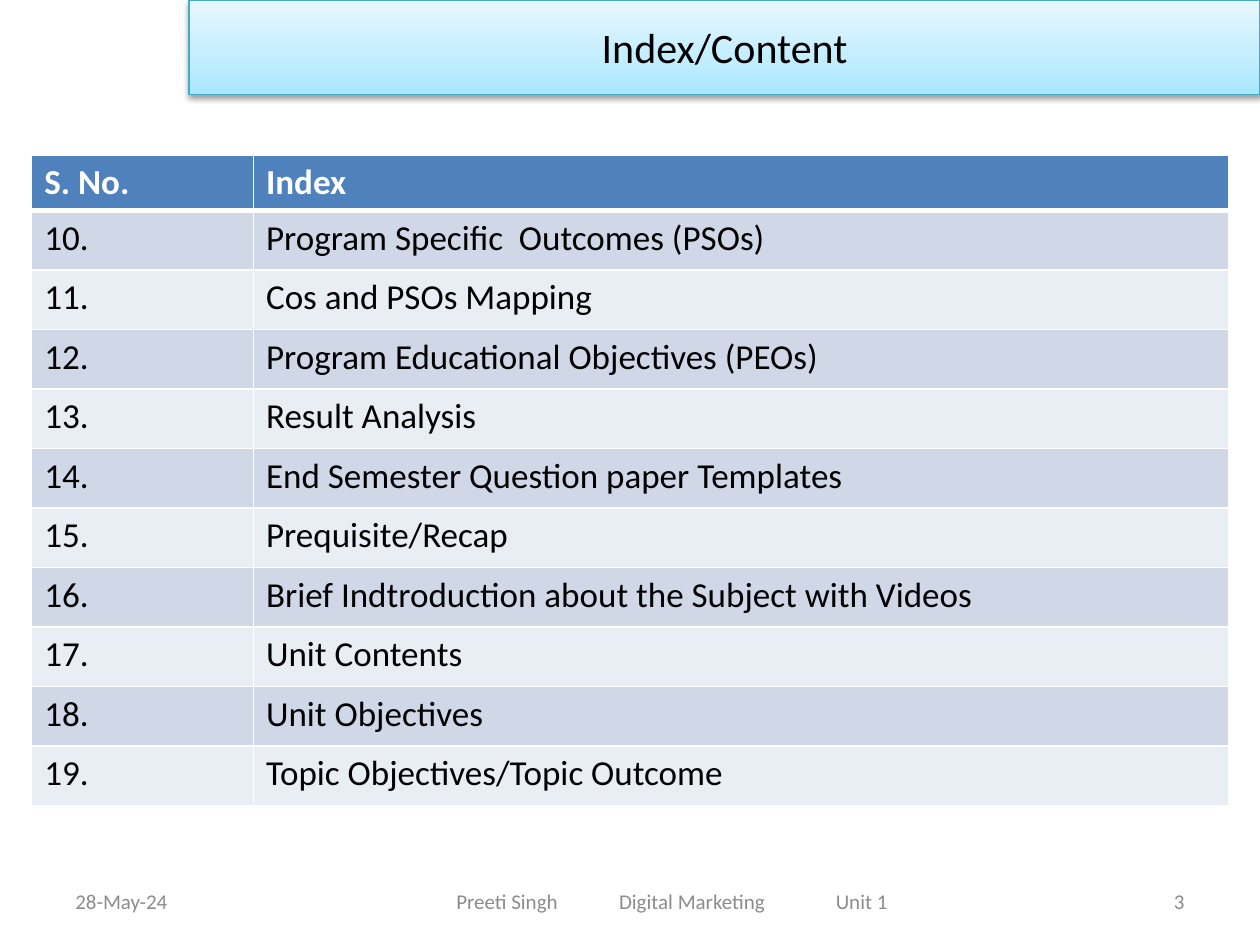
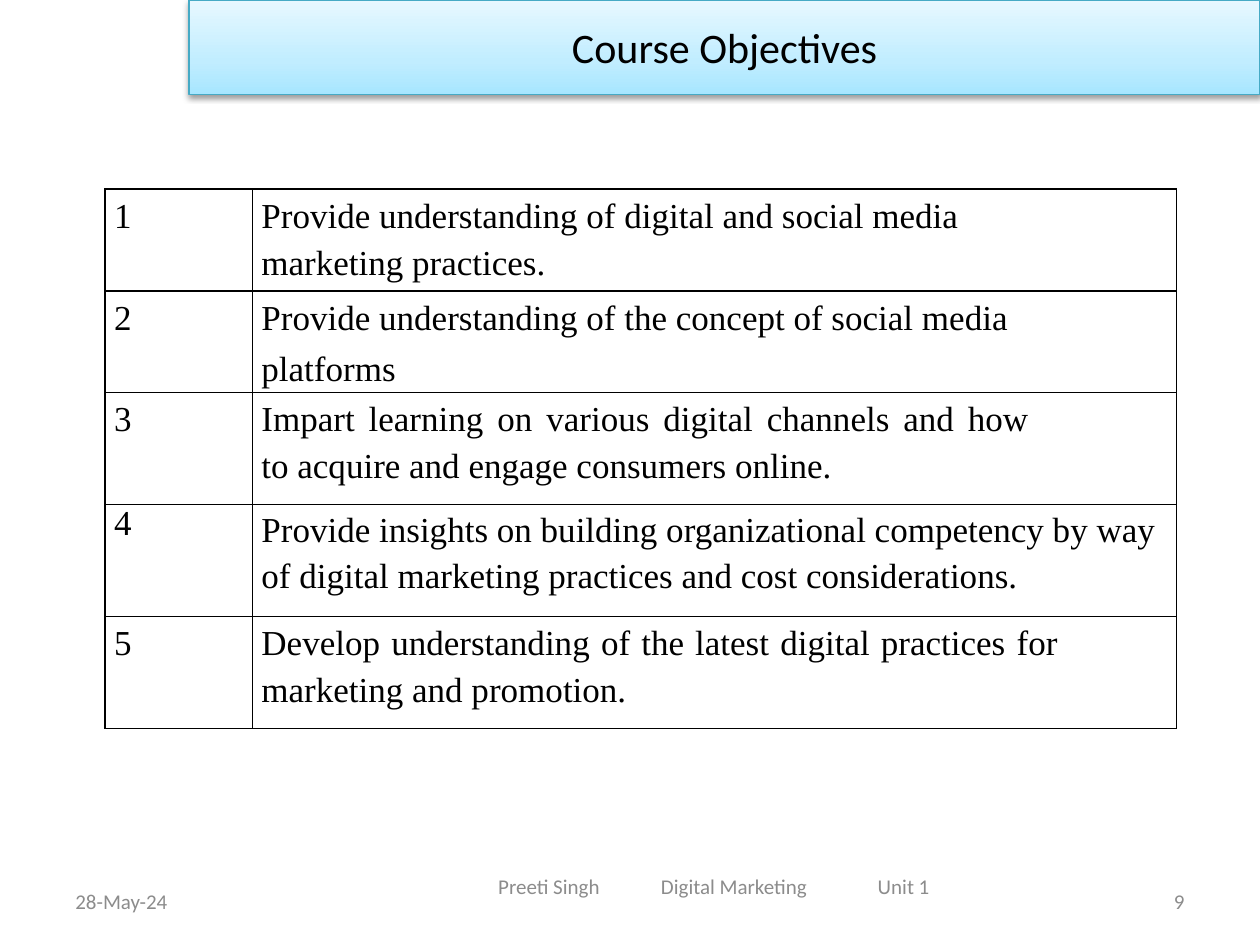
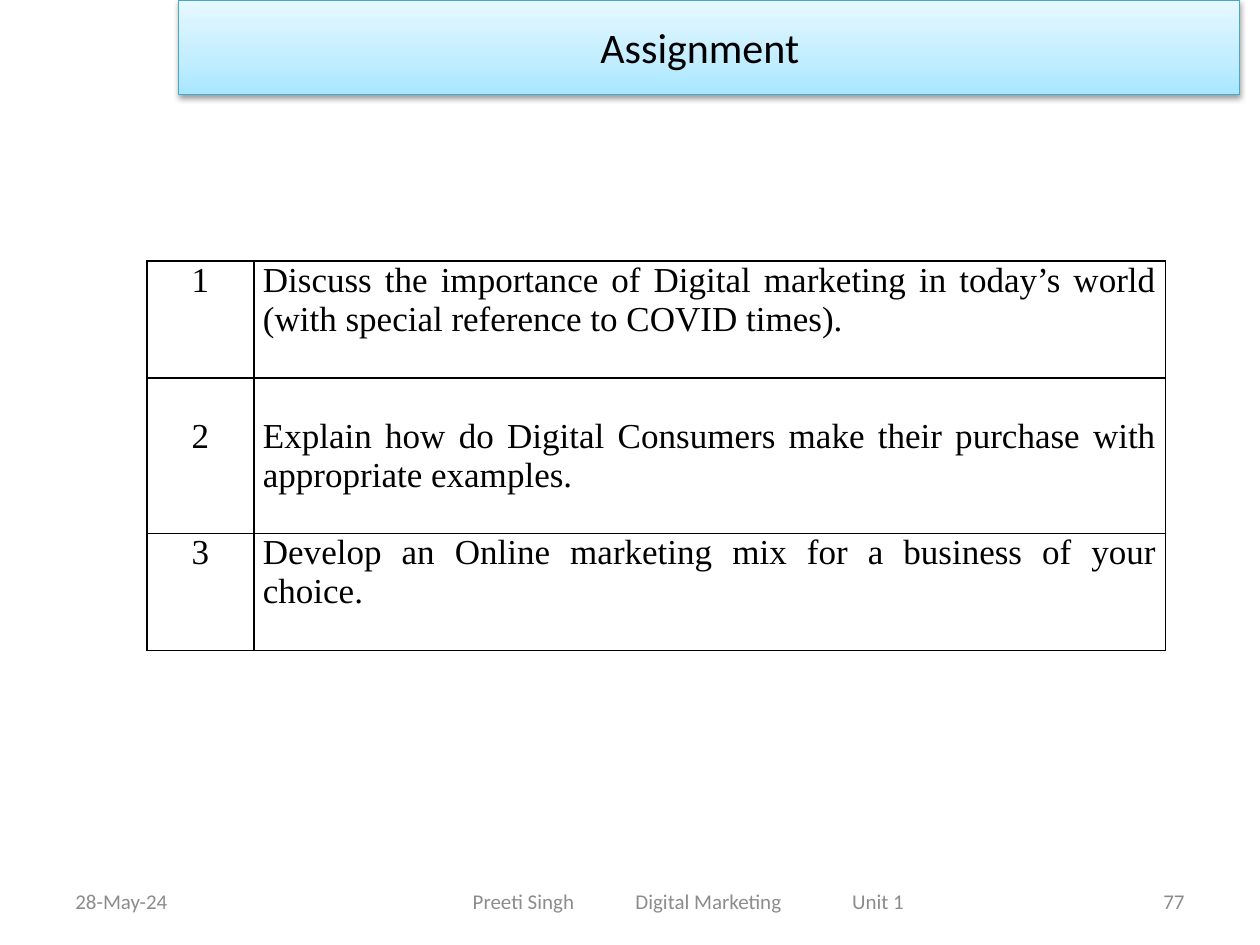
import pptx
import pptx.util
import pptx.dml.color
import pptx.enum.text
import pptx.oxml
import pptx.oxml.ns

Cm, Pt = pptx.util.Cm, pptx.util.Pt
ALIGN = pptx.enum.text.PP_ALIGN
MIDDLE = pptx.enum.text.MSO_ANCHOR.MIDDLE
NS = pptx.oxml.ns.nsdecls("a")

SANS, SERIF = "Calibri", "Times New Roman"
BLACK, WHITE, GREY = "000000", "FFFFFF", "8C8C8C"
HEAD, BANDS = "4F81BD", ("D0D8E8", "E9EDF4")
EDGE = "46AAC5"
GLOW = ((0, "A7E6FF"), (35, "C1EDFF"), (100, "E7F8FF"))

DATE = "28-May-24"
CREDIT = ("Preeti Singh", "Digital Marketing", "Unit 1")
TABS = (3.28, 7.65)
HALF = 4.34  # half the width of the credit line
FOOT = 17.65

TOPICS = [
    "Program Specific  Outcomes (PSOs)",
    "Cos and PSOs Mapping",
    "Program Educational Objectives (PEOs)",
    "Result Analysis",
    "End Semester Question paper Templates",
    "Prequisite/Recap",
    "Brief Indtroduction about the Subject with Videos",
    "Unit Contents",
    "Unit Objectives",
    "Topic Objectives/Topic Outcome",
]
FIRST = 10

# lines, points above each line, extra width of the first line's spaces
GOALS = [
    (("Provide understanding of digital and social media",
      "marketing practices."), (4.6, 4.6), 0),
    (("Provide understanding of the concept of social media",
      "platforms"), (4.8, 6.8), 0),
    (("Impart learning on various digital channels and how",
      "to acquire and engage consumers online."), (4.6, 4.6), 2.9),
    (("Provide insights on building organizational competency by way",
      "of digital marketing practices and cost considerations."), (4, 4), 0),
    (("Develop understanding of the latest digital practices for",
      "marketing and promotion."), (4.6, 4.6), 1.3),
]
GOAL_TOPS = (4.6, 4.6, 4.6, 0, 4.6)
GOAL_ROWS = (2.06, 2.04, 2.26, 2.26, 2.26)

# task, row height, space above the text
TASKS = [
    ("Discuss the importance of Digital marketing in today’s world "
     "(with special reference to COVID times).", 2.36, 0),
    ("Explain how do Digital Consumers make their purchase with "
     "appropriate examples.", 3.13, 0.79),
    ("Develop an Online marketing mix for a business of your choice.", 2.36, 0),
]


def rgb(code):
    return pptx.dml.color.RGBColor.from_string(code)


def xml(text):
    """Parse one drawing element whose tag is followed by a blank or bracket."""
    return pptx.oxml.parse_xml(text.replace("@", NS, 1))


def add_run(para, text, size, face, color, bold=False):
    run = para.add_run()
    run.text = text
    font = run.font
    font.size, font.name, font.bold = Pt(size), face, bold
    font.color.rgb = rgb(color)
    return run


def add_title(slide, text, left, width, right=0.25):
    band = slide.shapes.title
    band.left, band.top = Cm(left), Cm(0)
    band.width, band.height = Cm(width), Cm(1.9)
    props = band.element.spPr
    stops = "".join(f'<a:gs pos="{pos * 1000}"><a:srgbClr val="{code}"/></a:gs>'
                    for pos, code in GLOW)
    props.append(xml(f'<a:gradFill @ rotWithShape="1"><a:gsLst>{stops}</a:gsLst>'
                     '<a:lin ang="16200000" scaled="1"/></a:gradFill>'))
    band.line.color.rgb = rgb(EDGE)
    band.line.width = Pt(0.75)
    props.append(xml('<a:effectLst @><a:outerShdw blurRad="40000" dist="20000" '
                     'dir="5400000" rotWithShape="0"><a:srgbClr val="000000">'
                     '<a:alpha val="38000"/></a:srgbClr></a:outerShdw></a:effectLst>'))
    frame = band.text_frame
    frame.word_wrap, frame.vertical_anchor = True, MIDDLE
    frame.margin_right = Cm(right)
    para = frame.paragraphs[0]
    para.alignment = ALIGN.CENTER
    add_run(para, text, 24, SANS, BLACK)


def add_note(slide, text, left, top, width, align=ALIGN.LEFT):
    box = slide.shapes.add_textbox(Cm(left), Cm(top), Cm(width), Cm(1.02))
    frame = box.text_frame
    frame.word_wrap, frame.vertical_anchor = True, MIDDLE
    para = frame.paragraphs[0]
    para.alignment = align
    add_run(para, text, 12, SANS, GREY)
    return frame


def add_foot(slide, number, left, width, top=FOOT):
    """Add date, credit line and page number; left, width and top place the credit."""
    add_note(slide, DATE, 1.27, FOOT, 5.93)
    add_note(slide, str(number), 18.2, FOOT, 5.93, ALIGN.RIGHT)
    frame = add_note(slide, "\t".join(CREDIT), left, top, width)
    frame.margin_left = Cm(width / 2 - HALF)
    frame.margin_right = 0
    stops = "".join(f'<a:tab pos="{Cm(pos)}" algn="l"/>' for pos in TABS)
    props = frame.paragraphs[0]._p.get_or_add_pPr()
    props.append(xml(f"<a:tabLst @>{stops}</a:tabLst>"))


def add_grid(slide, left, top, cols, rows):
    shape = slide.shapes.add_table(len(rows), len(cols), Cm(left), Cm(top),
                                   Cm(sum(cols)), Cm(sum(rows)))
    table = shape.table
    for col, width in zip(table.columns, cols):
        col.width = Cm(width)
    for row, height in zip(table.rows, rows):
        row.height = Cm(height)
    return table


def style(cell, edge, fill=None, base=1):
    """Set the borders and fill; base is the width of the bottom border."""
    props = cell._tc.get_or_add_tcPr()
    for side, width in zip("LRTB", (1, 1, 1, base)):
        props.append(xml(f'<a:ln{side} @ w="{Pt(width)}"><a:solidFill>'
                         f'<a:srgbClr val="{edge}"/></a:solidFill></a:ln{side}>'))
    if fill:
        cell.fill.solid()
        cell.fill.fore_color.rgb = rgb(fill)
    else:
        cell.fill.background()


def pad(cell, top, right=0.18):
    cell.margin_left, cell.margin_right = Cm(0.18), Cm(right)
    cell.margin_top, cell.margin_bottom = top, 0


def write(cell, text, face=SERIF, color=BLACK, bold=False, align=ALIGN.LEFT):
    para = cell.text_frame.paragraphs[0]
    para.alignment = align
    add_run(para, text, 20, face, color, bold)


def write_goal(cell, lines, gaps, extra):
    pad(cell, Pt(gaps[0]), 0)
    frame = cell.text_frame
    para = frame.paragraphs[0]
    if extra:
        words = lines[0].split()
        for word in words[:-1]:
            add_run(para, word, 20, SERIF, BLACK)
            space = add_run(para, " ", 20, SERIF, BLACK)
            space.font._element.set("spc", str(round(extra * 100)))
        add_run(para, words[-1], 20, SERIF, BLACK)
    else:
        add_run(para, lines[0], 20, SERIF, BLACK)
    for line, gap in zip(lines[1:], gaps[1:]):
        para = frame.add_paragraph()
        para.space_before = Pt(gap)
        add_run(para, line, 20, SERIF, BLACK)


def add_index(slide):
    add_title(slide, "Index/Content", 3.81, 21.59)
    table = add_grid(slide, 0.64, 3.12, (4.47, 19.66), [1.12] + [1.2] * len(TOPICS))
    for col, text in enumerate(("S. No.", "Index")):
        cell = table.cell(0, col)
        style(cell, WHITE, HEAD, 3)
        write(cell, text, SANS, WHITE, True)
    for row, topic in enumerate(TOPICS):
        for col, text in enumerate((f"{FIRST + row}.", topic)):
            cell = table.cell(row + 1, col)
            style(cell, WHITE, BANDS[row % 2])
            write(cell, text, SANS)
    add_foot(slide, 3, 4.65, 17.78)


def add_goals(slide):
    add_title(slide, "Course Objectives", 3.81, 21.59)
    table = add_grid(slide, 2.12, 3.81, (2.97, 18.63), GOAL_ROWS)
    for row, (goal, top) in enumerate(zip(GOALS, GOAL_TOPS)):
        mark, body = table.cell(row, 0), table.cell(row, 1)
        style(mark, BLACK)
        style(body, BLACK)
        pad(mark, Pt(top))
        write(mark, str(row + 1))
        write_goal(body, *goal)
    add_foot(slide, 9, 7.82, 13.13, 17.35)


def add_tasks(slide):
    add_title(slide, "Assignment", 3.6, 21.39, 0.63)
    table = add_grid(slide, 2.96, 5.26, (2.16, 18.37), [task[1] for task in TASKS])
    for row, (task, _, top) in enumerate(TASKS):
        pairs = ((str(row + 1), ALIGN.CENTER), (task, ALIGN.JUSTIFY))
        for col, (text, align) in enumerate(pairs):
            cell = table.cell(row, col)
            style(cell, BLACK)
            pad(cell, Cm(top))
            write(cell, text, align=align)
    add_foot(slide, 77, 6.15, 15.44)


def main():
    deck = pptx.Presentation()
    deck.slide_width, deck.slide_height = Cm(25.4), Cm(19.05)
    layout = deck.slide_layouts.get_by_name("Title Only")
    for build in (add_index, add_goals, add_tasks):
        build(deck.slides.add_slide(layout))
    deck.save("out.pptx")


if __name__ == "__main__":
    main()
